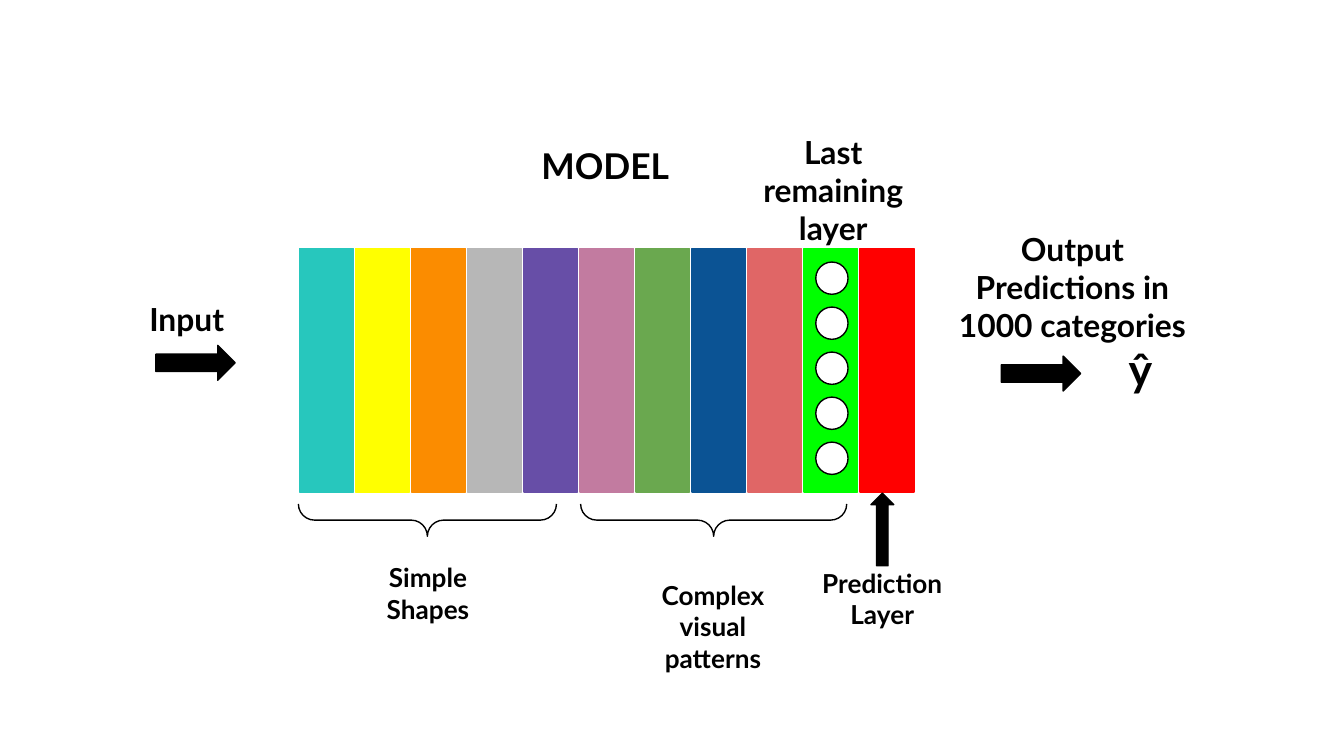
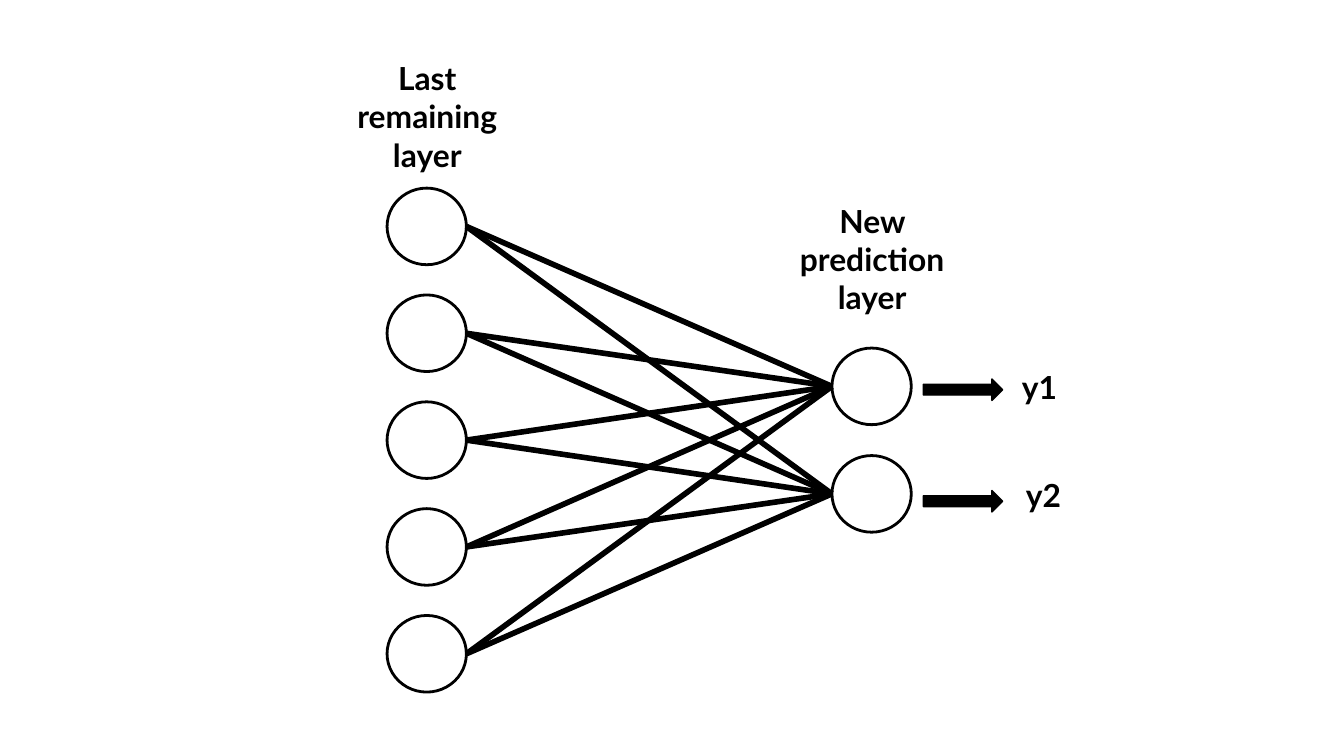
from itertools import product

from lxml.etree import SubElement
from pptx import Presentation
from pptx.dml.color import RGBColor
from pptx.enum.shapes import MSO_CONNECTOR, MSO_SHAPE
from pptx.enum.text import MSO_ANCHOR, PP_ALIGN
from pptx.oxml.ns import qn
from pptx.util import Inches, Pt

BLACK = RGBColor(0x00, 0x00, 0x00)
WHITE = RGBColor(0xFF, 0xFF, 0xFF)
LAYER_COLOURS = [
    RGBColor(0x27, 0xC7, 0xBD),
    RGBColor(0xFF, 0xFF, 0x00),
    RGBColor(0xFB, 0x8C, 0x00),
    RGBColor(0xB7, 0xB7, 0xB7),
    RGBColor(0x67, 0x4E, 0xA7),
    RGBColor(0xC2, 0x7B, 0xA0),
    RGBColor(0x6A, 0xA8, 0x4F),
    RGBColor(0x0B, 0x53, 0x94),
    RGBColor(0xE0, 0x66, 0x66),
    RGBColor(0x00, 0xFF, 0x00),
    RGBColor(0xFF, 0x00, 0x00),
]


def spread(first, last, count):
    return [first + (last - first) * index / (count - 1) for index in range(count)]


class Diagram:
    font_name = "Lato"
    label_size = 17
    small_size = 14
    thin = 0.75
    arrow_length = 0.59

    def __init__(self):
        self.deck = Presentation()
        self.deck.slide_width = Inches(10)
        self.deck.slide_height = Inches(10 * 9 / 16)
        self.page = None

    def new_page(self):
        self.page = self.deck.slides.add_slide(self.deck.slide_layouts[6])
        self.page.background.fill.solid()
        self.page.background.fill.fore_color.rgb = WHITE

    def shape(self, kind, left, top, width, height, fill=BLACK, line=BLACK, weight=thin):
        shape = self.page.shapes.add_shape(
            kind, Inches(left), Inches(top), Inches(width), Inches(height)
        )
        shape.shadow.inherit = False
        if fill is None:
            shape.fill.background()
        else:
            shape.fill.solid()
            shape.fill.fore_color.rgb = fill
        shape.line.color.rgb = line
        shape.line.width = Pt(weight)
        return shape

    def layer(self, left, colour):
        self.shape(MSO_SHAPE.RECTANGLE, left, 1.85, 0.4, 1.81, colour, colour)

    def node(self, left, top, width, height, weight=thin):
        self.shape(MSO_SHAPE.OVAL, left, top, width, height, WHITE, BLACK, weight)

    def arrow(self, left, top, height):
        self.shape(MSO_SHAPE.RIGHT_ARROW, left, top, self.arrow_length, height)

    def brace(self, left, top, length):
        brace = self.shape(MSO_SHAPE.LEFT_BRACE, left, top, 0.24, length, None)
        brace.adjustments[0] = 0.5
        brace.rotation = 270

    def link(self, left, top, right, bottom):
        link = self.page.shapes.add_connector(
            MSO_CONNECTOR.STRAIGHT, Inches(left), Inches(top), Inches(right), Inches(bottom)
        )
        link.line.color.rgb = BLACK
        link.line.width = Pt(3)
        SubElement(link._element.spPr, qn("a:effectLst"))

    def label(self, lines, left, top, width, height, size=label_size, align=PP_ALIGN.CENTER):
        box = self.page.shapes.add_textbox(
            Inches(left), Inches(top), Inches(width), Inches(height)
        )
        frame = box.text_frame
        frame.word_wrap = True
        frame.vertical_anchor = MSO_ANCHOR.TOP
        frame.margin_left = frame.margin_right = Inches(0.1)
        frame.margin_top = frame.margin_bottom = Inches(0.1)
        for index, words in enumerate(lines):
            para = frame.add_paragraph() if index else frame.paragraphs[0]
            para.alignment = align
            span = para.add_run()
            span.text = words
            span.font.name = self.font_name
            span.font.size = Pt(size)
            span.font.bold = True
            span.font.color.rgb = BLACK


def build_model_page(diagram):
    diagram.new_page()
    for left, colour in zip(spread(2.23, 6.4, len(LAYER_COLOURS)), LAYER_COLOURS):
        diagram.layer(left, colour)

    diagram.arrow(1.16, 2.57, 0.26)
    diagram.label(["Input"], 0.66, 2.13, 1.46, 0.44)
    diagram.label(["MODEL"], 3.93, 0.97, 1.16, 0.44, 19, PP_ALIGN.LEFT)
    diagram.arrow(7.45, 2.65, 0.26)
    diagram.label(["Output", "Predictions in 1000 categories"], 7.01, 1.61, 1.94, 0.97)
    diagram.label(["ŷ"], 8.3, 2.44, 0.65, 0.69, 24, PP_ALIGN.LEFT)

    diagram.brace(3.06, 2.91, 1.92)
    diagram.brace(5.19, 2.88, 1.98)
    pointer = diagram.shape(MSO_SHAPE.DOWN_ARROW, 6.48, 3.67, 0.17, 0.54)
    pointer.rotation = 180
    for lines, left, top, height in [
        (["Prediction", "Layer"], 5.95, 4.12, 0.69),
        (["Simple Shapes"], 2.57, 4.08, 0.69),
        (["Complex visual patterns"], 4.69, 4.21, 0.97),
    ]:
        diagram.label(lines, left, top, 1.23, height, diagram.small_size)

    diagram.label(["Last remaining layer"], 5.47, 0.89, 1.46, 0.97)
    for top in spread(1.95, 3.29, 5):
        diagram.node(6.07, top, 0.24, 0.24)


def build_network_page(diagram):
    diagram.new_page()
    width, height = 0.59, 0.57
    last_left, new_left = 2.88, 6.19
    last_tops = spread(1.4, 4.58, 5)
    new_tops = [2.59, 3.39]
    for left, tops in [(last_left, last_tops), (new_left, new_tops)]:
        for top in tops:
            diagram.node(left, top, width, height, 1.5)
    for new_top, last_top in product(new_tops, last_tops):
        diagram.link(last_left + width, last_top + height / 2, new_left, new_top + height / 2)

    diagram.label(["Last remaining layer"], 2.45, 0.34, 1.46, 0.97)
    diagram.label(["New prediction layer"], 5.76, 1.4, 1.46, 0.97)
    for name, left, top, arrow_top in [("y1", 7.4, 2.64, 2.82), ("y2", 7.43, 3.44, 3.65)]:
        diagram.label([name], left, top, 0.67, 0.47)
        diagram.arrow(6.87, arrow_top, 0.16)


def main():
    diagram = Diagram()
    build_model_page(diagram)
    build_network_page(diagram)
    diagram.deck.save("out.pptx")


if __name__ == "__main__":
    main()
